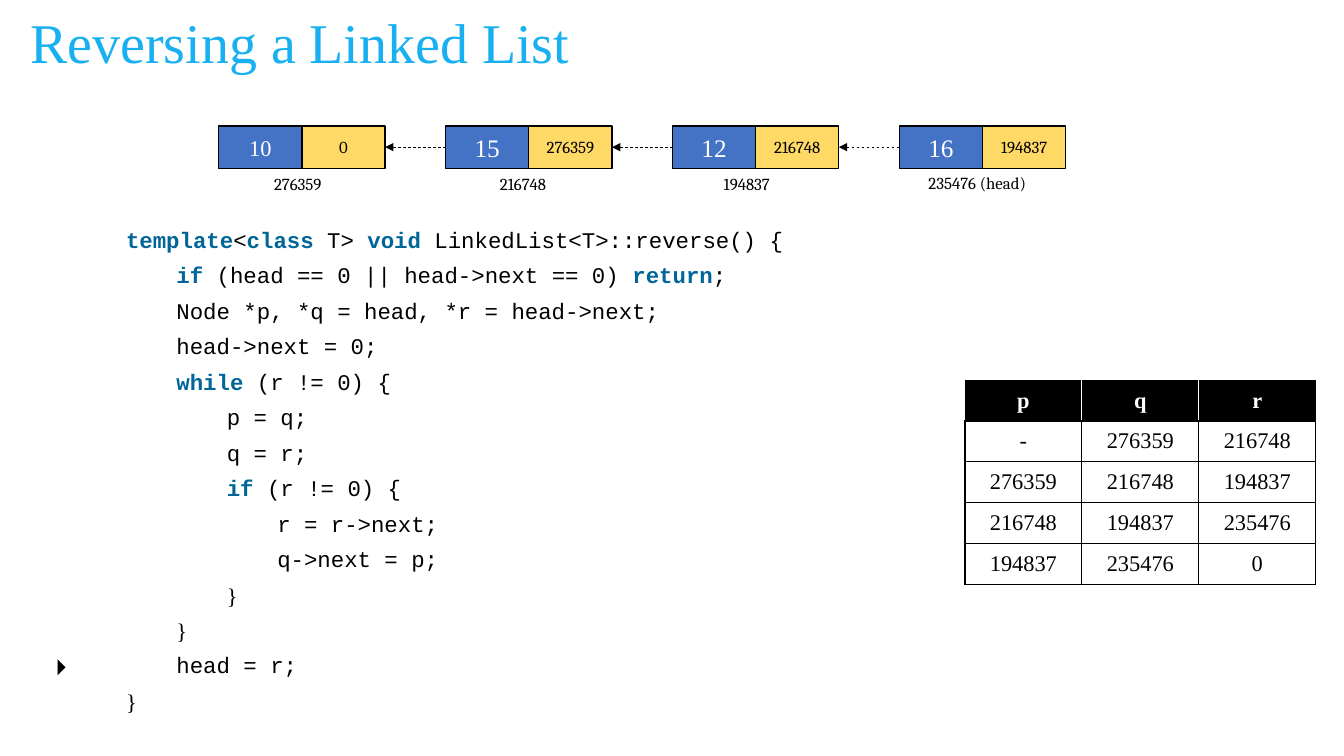
"""Build a slide that shows the reversal of a linked list."""
from dataclasses import dataclass

from lxml.etree import SubElement
from pptx import Presentation
from pptx.dml.color import RGBColor
from pptx.enum.dml import MSO_LINE
from pptx.enum.shapes import MSO_CONNECTOR, MSO_SHAPE
from pptx.enum.text import MSO_ANCHOR, MSO_AUTO_SIZE, PP_ALIGN
from pptx.oxml import parse_xml
from pptx.oxml.ns import nsdecls, qn
from pptx.util import Inches, Pt


@dataclass(frozen=True)
class Theme:
    """Colours, fonts and type sizes of the slide."""
    title: str = "18B0F0"
    keyword: str = "006699"
    value: str = "4472C4"
    pointer: str = "FFD966"
    black: str = "000000"
    white: str = "FFFFFF"
    serif: str = "Times New Roman"
    code: str = "Courier New"
    label: str = "Cambria"
    symbol: str = "Roboto"
    title_size: int = 40
    value_size: int = 18
    body_size: int = 16
    label_size: int = 12


THEME = Theme()
NO_STYLE = "{2D5ABB26-0587-4C30-8999-92F81FD0307C}"
NODE_LEFT, NODE_TOP, NODE_STEP = 2.17, 1.25, 2.25
CELL_WIDTH, CELL_HEIGHT = 0.825, 0.42
NODES = [
    ("10", "0", THEME.body_size, "276359", 2.62, 1.67),
    ("15", "276359", THEME.value_size, "216748", 4.86, 1.67),
    ("12", "216748", THEME.value_size, "194837", 7.08, 1.67),
    ("16", "194837", THEME.value_size, "235476 (head)", 9.11, 1.66),
]
CODE = [
    (0, "`template`<`class` T> `void` LinkedList<T>::reverse() {"),
    (1, "`if` (head == 0 || head->next == 0) `return`;"),
    (1, "Node *p, *q = head, *r = head->next;"),
    (1, "head->next = 0;"),
    (1, "`while` (r != 0) {"),
    (2, "p = q;"),
    (2, "q = r;"),
    (2, "`if` (r != 0) {"),
    (3, "r = r->next;"),
    (3, "q->next = p;"),
    (2, "}"),
    (1, "}"),
    (1, "head = r;"),
    (0, "}"),
]
CURRENT_LINE = 12
TRACE = [
    ("p", "q", "r"),
    ("-", "276359", "216748"),
    ("276359", "216748", "194837"),
    ("216748", "194837", "235476"),
    ("194837", "235476", "0"),
]


def rgb(color):
    """Turn a hex string into a colour."""
    return RGBColor.from_string(color)


def write(tf, text, font=THEME.serif, size=THEME.body_size, color=THEME.black,
          bold=False, align=PP_ALIGN.LEFT, level=0):
    """Write one paragraph; words between backticks become keywords."""
    p = tf.paragraphs[0]
    p.alignment, p.level = align, level
    if level:
        pPr = p.runs and None or p._p.get_or_add_pPr()
        pPr.set("marL", str(Inches(0.5 * level)))
        pPr.set("indent", "0")
    for i, part in enumerate(text.split("`")):
        if part:
            keyword = i % 2 == 1
            r = p.add_run()
            r.text = part
            r.font.name, r.font.size = font, Pt(size)
            r.font.bold = bold or keyword
            r.font.color.rgb = rgb(THEME.keyword if keyword else color)
    return p


def add_title(s, text):
    """Place and format the title placeholder."""
    sp = s.shapes.title
    sp.left, sp.top = Inches(0.2), Inches(0.13)
    sp.width, sp.height = Inches(10.96), Inches(0.65)
    tf = sp.text_frame
    tf.auto_size = MSO_AUTO_SIZE.NONE
    tf.vertical_anchor = MSO_ANCHOR.MIDDLE
    p = write(tf, text, size=THEME.title_size, color=THEME.title)
    p.line_spacing = 0.9


def add_box(shapes, left, text, fill, **fmt):
    """Add one half of a list node."""
    sp = shapes.add_shape(MSO_SHAPE.RECTANGLE, Inches(left), Inches(NODE_TOP),
                          Inches(CELL_WIDTH), Inches(CELL_HEIGHT))
    sp.shadow.inherit = False
    sp.fill.solid()
    sp.fill.fore_color.rgb = rgb(fill)
    sp.line.color.rgb = rgb(THEME.black)
    sp.line.width = Pt(1)
    sp.text_frame.vertical_anchor = MSO_ANCHOR.MIDDLE
    write(sp.text_frame, text, align=PP_ALIGN.CENTER, **fmt)


def add_node(s, left, value, pointer, value_size):
    """Add a list node as a group of value and pointer."""
    shapes = s.shapes.add_group_shape().shapes
    add_box(shapes, left, value, THEME.value, size=value_size, color=THEME.white)
    add_box(shapes, left + CELL_WIDTH, pointer, THEME.pointer,
            font=THEME.label, size=THEME.label_size)


def add_label(s, text, left, top):
    """Add the address below a node."""
    width = 0.76 if text.isdigit() else 1.29
    sp = s.shapes.add_textbox(Inches(left), Inches(top), Inches(width), Inches(0.3))
    tf = sp.text_frame
    tf.word_wrap = False
    tf.auto_size = MSO_AUTO_SIZE.SHAPE_TO_FIT_TEXT
    write(tf, text, font=THEME.label, size=THEME.label_size)


def add_arrow(s, tip, tail):
    """Add a dashed arrow that points left to the previous node."""
    y = Inches(NODE_TOP + CELL_HEIGHT / 2)
    line = s.shapes.add_connector(MSO_CONNECTOR.STRAIGHT, Inches(tip), y, Inches(tail), y)
    line.line.color.rgb = rgb(THEME.black)
    line.line.width = Pt(0.5)
    line.line.dash_style = MSO_LINE.DASH
    SubElement(line.line._get_or_add_ln(), qn("a:headEnd"), type="triangle")
    SubElement(line.element.spPr, qn("a:effectLst"))


def add_plain_table(s, left, top, widths, height, rows):
    """Add a table without style, with the given column widths."""
    frame = s.shapes.add_table(rows, len(widths), Inches(left), Inches(top),
                               Inches(sum(widths)), Inches(height * rows))
    table = frame.table
    table.first_row = table.horz_banding = False
    next(frame.element.iter(qn("a:tableStyleId"))).text = NO_STYLE
    for column, width in zip(table.columns, widths):
        column.width = Inches(width)
    for row in table.rows:
        row.height = Inches(height)
    return table


def set_borders(cell, borders):
    """Draw the borders of a cell, given as side to colour and width."""
    tcPr = cell._tc.get_or_add_tcPr()
    for i, side in enumerate("LRTB"):
        color, width = borders[side]
        tcPr.insert(i, parse_xml(
            f'<a:ln{side} {nsdecls("a")} w="{Pt(width)}"><a:solidFill>'
            f'<a:srgbClr val="{color}"/></a:solidFill></a:ln{side}>'))


def add_code(s):
    """Add the listing with a marker at the current line."""
    table = add_plain_table(s, 0.45, 2.23, (0.7, 8.21), 0.32, len(CODE))
    for i, (level, text) in enumerate(CODE):
        marker, line = table.cell(i, 0), table.cell(i, 1)
        marker.fill.background()
        line.fill.background()
        write(line.text_frame, text, level=level,
              font=THEME.serif if text == "}" else THEME.code)
        if i == CURRENT_LINE:
            write(marker.text_frame, "⏵", font=THEME.symbol)
        else:
            p = marker.text_frame.paragraphs[0]
            SubElement(p._p, qn("a:endParaRPr"), sz=str(THEME.label_size * 100))


def add_trace(s):
    """Add the table of pointer values."""
    table = add_plain_table(s, 9.57, 3.77, (1.16,) * 3, 0.406, len(TRACE))
    for i, values in enumerate(TRACE):
        for j, text in enumerate(values):
            cell, header = table.cell(i, j), i == 0
            cell.vertical_anchor = MSO_ANCHOR.MIDDLE
            cell.fill.solid()
            cell.fill.fore_color.rgb = rgb(THEME.black if header else THEME.white)
            write(cell.text_frame, text, bold=header, align=PP_ALIGN.CENTER,
                  color=THEME.white if header else THEME.black)
            borders = dict.fromkeys("LRTB", (THEME.black, 1))
            if header:
                outer, inner = (THEME.black, 0.5), (THEME.white, 1)
                borders.update(T=outer, L=inner if j else outer,
                               R=inner if j < len(values) - 1 else outer)
            set_borders(cell, borders)


def main():
    """Build and save the slide."""
    prs = Presentation()
    prs.slide_width, prs.slide_height = Inches(13.33), Inches(7.5)
    s = prs.slides.add_slide(prs.slide_layouts[5])
    add_title(s, "Reversing a Linked List")
    add_code(s)
    for i, (value, pointer, size, address, label_left, label_top) in enumerate(NODES):
        left = NODE_LEFT + i * NODE_STEP
        add_node(s, left, value, pointer, size)
        add_label(s, address, label_left, label_top)
        if i:
            add_arrow(s, left - NODE_STEP + 2 * CELL_WIDTH, left)
    add_trace(s)
    prs.save("out.pptx")


if __name__ == "__main__":
    main()
